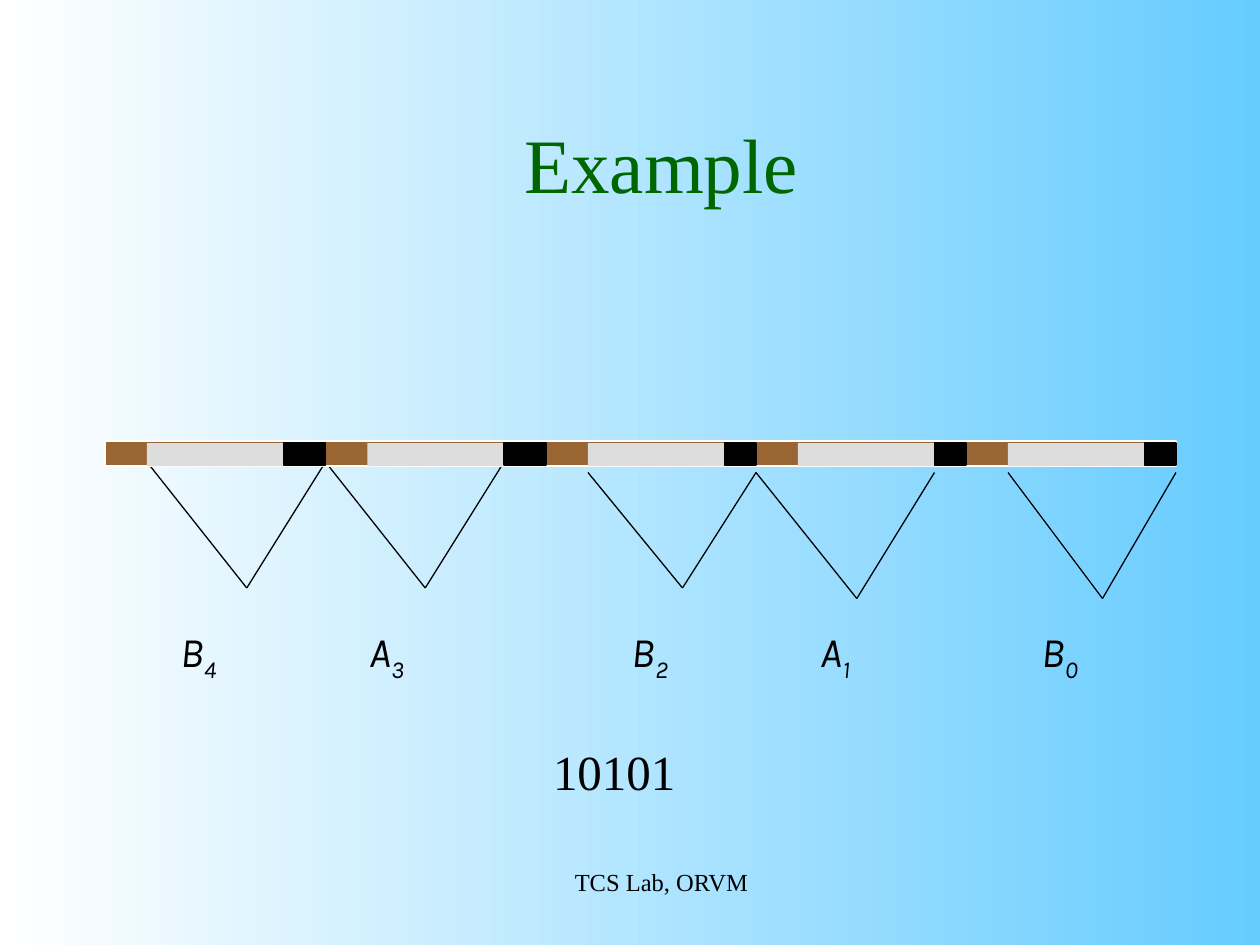
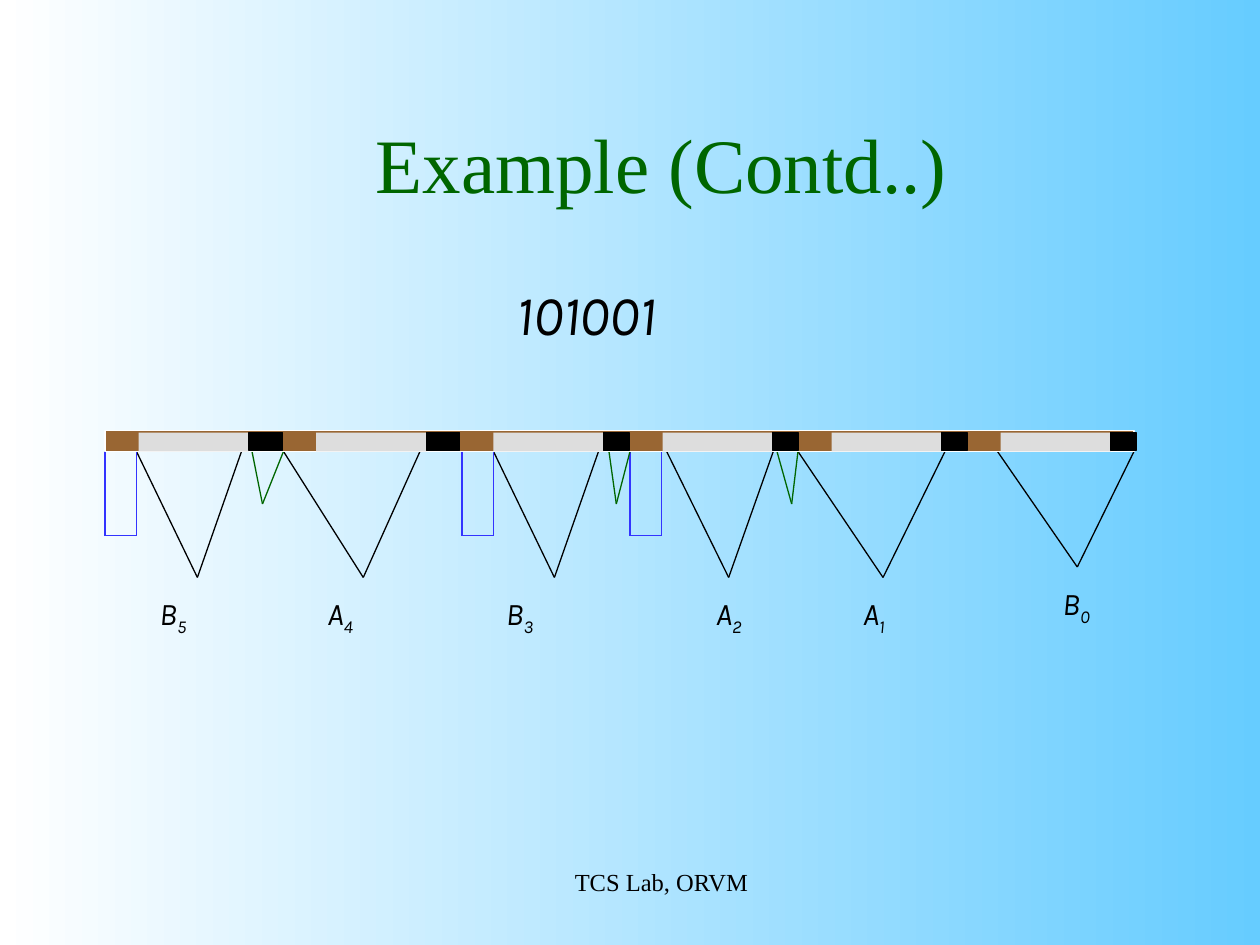
from dataclasses import dataclass
from itertools import pairwise

from lxml import etree
from pptx import Presentation
from pptx import util as u
from pptx.dml.color import RGBColor
from pptx.enum import shapes, text
from pptx.oxml import ns

PX = u.Inches(1) // 120  # 120 px to the inch
FOOTER = "TCS Lab, ORVM"


@dataclass(frozen=True)
class Theme:
    sky: str = "66CCFF"
    white: str = "FFFFFF"
    black: str = "000000"
    green: str = "006600"
    blue: str = "3333FF"
    brown: str = "996633"
    grey: str = "DDDDDD"
    serif: str = "Times New Roman"
    sans: str = "Karla"
    title_size: int = 44
    code_size: int = 28
    large_code_size: int = 32
    label_size: int = 24
    small_label_size: int = 18
    footer_size: int = 14
    line_width: float = 0.75


class Deck:
    def __init__(self, theme):
        self.theme = theme
        self.deck = Presentation()
        self.deck.slide_width, self.deck.slide_height = 1200 * PX, 900 * PX
        self.page = None
        # Shared background
        fill = self.deck.slide_master.background.fill
        fill.gradient()
        fill.gradient_angle = 180
        for stop, color in zip(fill.gradient_stops, (theme.sky, theme.white)):
            stop.color.rgb = RGBColor.from_string(color)

    def style(self, span, size, font, color, italic=False):
        span.font.size = u.Pt(size)
        span.font.name = font
        span.font.italic = italic
        span.font.color.rgb = RGBColor.from_string(color)

    def new_page(self, title):
        """Start a slide with the shared title and footer."""
        theme = self.theme
        self.page = self.deck.slides.add_slide(self.deck.slide_layouts[5])
        box = self.page.shapes.title
        box.left, box.top, box.width, box.height = (
            n * PX for n in (120, 80, 1020, 150))
        box.text_frame.text = title
        box.text_frame.vertical_anchor = text.MSO_ANCHOR.MIDDLE
        para = box.text_frame.paragraphs[0]
        para.alignment = text.PP_ALIGN.CENTER
        self.style(para.runs[0], theme.title_size, theme.serif, theme.green)
        self.text_box(FOOTER, (440, 820, 380, 60), theme.footer_size,
                      theme.serif, centred=True)

    def text_box(self, words, place, size, font, centred=False, italic=False):
        box = self.page.shapes.add_textbox(*(n * PX for n in place))
        box.text_frame.word_wrap = True
        box.text_frame.text = words
        para = box.text_frame.paragraphs[0]
        if centred:
            para.alignment = text.PP_ALIGN.CENTER
        self.style(para.runs[0], size, font, self.theme.black, italic)
        return para

    def label(self, name, left, top, size):
        """Write a letter with its index as a subscript."""
        letter, index = name
        para = self.text_box(letter, (left, top, 100, 60), size,
                             self.theme.sans, italic=True)
        span = para.add_run()
        span.text = index
        self.style(span, size, self.theme.sans, self.theme.black, italic=True)
        span._r.get_or_add_rPr().set("baseline", "-25000")

    def polyline(self, points, color):
        for start, end in pairwise(points):
            line = self.page.shapes.add_connector(
                shapes.MSO_CONNECTOR.STRAIGHT, *(n * PX for n in start + end))
            line.line.color.rgb = RGBColor.from_string(color)
            line.line.width = u.Pt(self.theme.line_width)
            etree.SubElement(line._element.spPr, ns.qn("a:effectLst"))

    def vee(self, left, tip, right, top, bottom, color):
        self.polyline([(left, top), (tip, bottom), (right, top)], color)

    def rect(self, left, top, width, height, fill, line=None):
        shape = self.page.shapes.add_shape(
            shapes.MSO_SHAPE.RECTANGLE,
            *(n * PX for n in (left, top, width, height)))
        shape.shadow.inherit = False
        shape.fill.solid()
        shape.fill.fore_color.rgb = RGBColor.from_string(fill)
        if line:
            shape.line.color.rgb = RGBColor.from_string(line)
            shape.line.width = u.Pt(self.theme.line_width)
        else:
            shape.line.fill.background()

    def strand(self, top, width, height, brown, grey, blacks):
        """Draw a brown bar with repeated grey and black segments."""
        theme = self.theme
        self.rect(100, top, width, height, theme.brown, theme.white)
        left = 100
        for black in blacks:
            left += brown
            self.rect(left, top + 2, grey, height - 2, theme.grey)
            left += grey
            self.rect(left, top + 2, black, height - 3, theme.black,
                      theme.black)
            left += black


def example(deck):
    theme = deck.theme
    deck.new_page("Example")
    deck.text_box("10101", (260, 700, 650, 68), theme.code_size, theme.serif,
                  centred=True)
    # Hairpins and their labels
    for vee in ((140, 235, 310, 440, 560), (310, 405, 480, 440, 560),
                (560, 650, 720, 450, 560), (720, 816, 890, 450, 570),
                (960, 1050, 1120, 450, 570)):
        deck.vee(*vee, theme.black)
    for name, left in (("B4", 160), ("A3", 340), ("B2", 590), ("A1", 770),
                       ("B0", 980)):
        deck.label(name, left, 590, theme.label_size)
    deck.strand(420, 1020, 24, 40, 130, (40, 40, 30, 30, 30))


def example_continued(deck):
    theme = deck.theme
    deck.new_page("Example (Contd..)")
    deck.text_box("101001", (480, 260, 470, 77), theme.large_code_size,
                  theme.sans, italic=True)
    # Hairpins
    for vee in ((130, 188, 230, 430, 550), (270, 346, 400, 430, 550),
                (470, 528, 570, 430, 550), (630, 694, 740, 420, 550),
                (760, 841, 900, 430, 550), (950, 1026, 1080, 430, 540)):
        deck.vee(*vee, theme.black)
    # Brackets under brown segments, spikes under black ones
    for left in (100, 440, 600):
        right = left + 30
        deck.polyline([(left, 430), (left, 510), (right, 510), (right, 430)],
                      theme.blue)
    for spike in ((240, 250, 270), (580, 587, 600), (740, 754, 760)):
        deck.vee(*spike, 430, 480, theme.green)
    # Labels
    for name, left, top in (("B5", 140, 560), ("A4", 300, 560),
                            ("B3", 470, 560), ("A2", 670, 560),
                            ("A1", 810, 560), ("B0", 1000, 550)):
        deck.label(name, left, top, theme.small_label_size)
    deck.strand(410, 980, 20, 32, 105, (32, 32, 24, 24, 24, 24))


def main():
    deck = Deck(Theme())
    example(deck)
    example_continued(deck)
    deck.deck.save("out.pptx")


if __name__ == "__main__":
    main()
